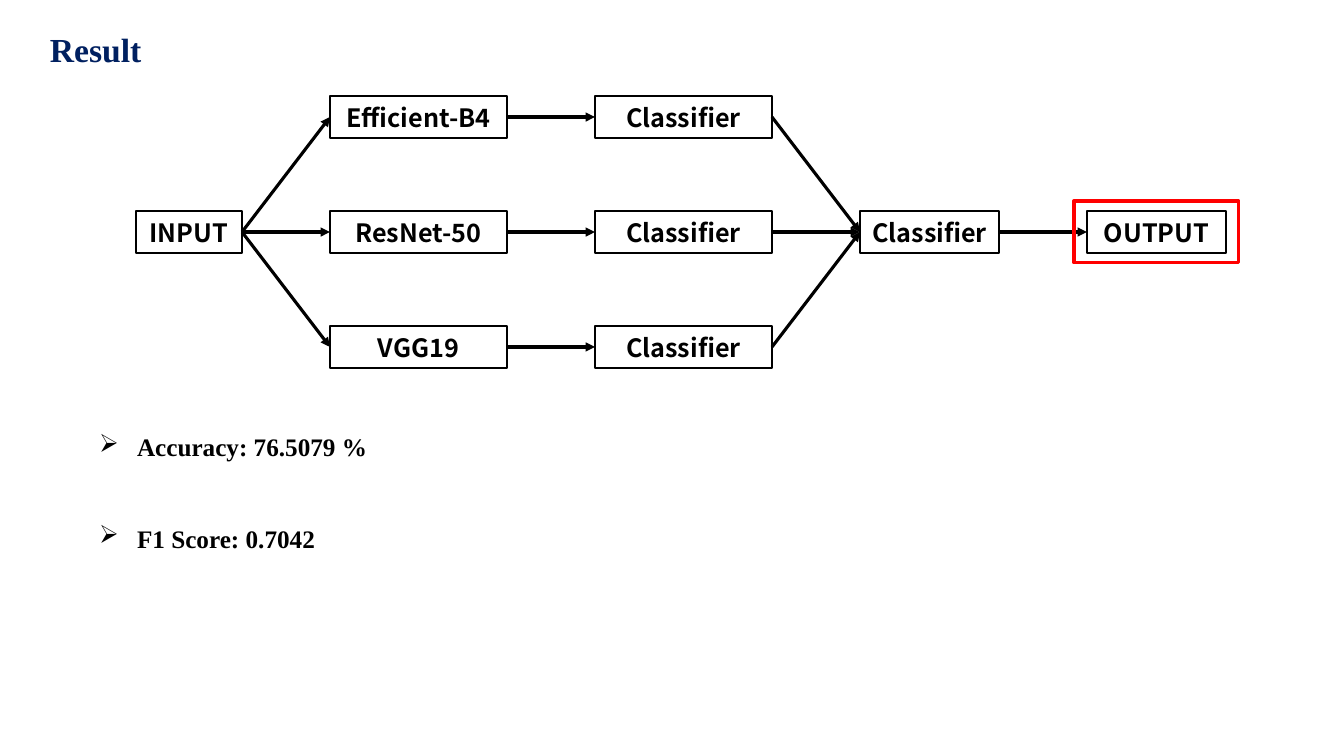
from dataclasses import dataclass
from itertools import pairwise, product

from lxml import etree
from pptx import Presentation
from pptx.dml.color import RGBColor
from pptx.enum.shapes import MSO_CONNECTOR, MSO_SHAPE
from pptx.enum.text import MSO_ANCHOR, PP_ALIGN
from pptx.oxml.ns import qn
from pptx.util import Pt

RECT = MSO_SHAPE.RECTANGLE
LINE = MSO_CONNECTOR.STRAIGHT
MIDDLE = MSO_ANCHOR.MIDDLE
TOP = MSO_ANCHOR.TOP
CENTER = PP_ALIGN.CENTER
LEFT = PP_ALIGN.LEFT
SCALE = 914400 / 100.8
LEFT_SITE, RIGHT_SITE = 1, 3


@dataclass(frozen=True)
class Theme:
    """Colours, fonts and sizes of the slide."""
    ink: str = "000000"
    navy: str = "002060"
    red: str = "FF0000"
    serif: str = "Times New Roman"
    sans: str = "Noto Sans CJK KR"
    head: int = 24
    body: int = 18
    thin: float = 1.5
    thick: float = 2.25


THEME = Theme()


def emu(*sizes):
    """Turn pixels into EMU."""
    return [round(size * SCALE) for size in sizes]


def apply(item, values):
    """Set each attribute named in a dict."""
    for name, value in values.items():
        setattr(item, name, value)


def write(par, text, font, size, color):
    """Add one bold run to a paragraph."""
    run = par.add_run()
    run.text = text
    apply(run.font, {"name": font, "size": Pt(size), "bold": True})
    run.font.color.rgb = RGBColor.from_string(color)


def area(slide, box, **frame):
    """Add a wrapping text box and return its frame."""
    text = slide.shapes.add_textbox(*emu(*box)).text_frame
    apply(text, {"word_wrap": True, **frame})
    return text


def outline(slide, box, color, width):
    """Add an unfilled rectangle."""
    shape = slide.shapes.add_shape(RECT, *emu(*box))
    shape.shadow.inherit = False
    shape.fill.background()
    shape.line.color.rgb = RGBColor.from_string(color)
    shape.line.width = Pt(width)
    return shape


def node(slide, box, text):
    """Add a labelled step of the model."""
    shape = outline(slide, box, THEME.ink, THEME.thin)
    frame = shape.text_frame
    apply(frame, {"vertical_anchor": MIDDLE, "word_wrap": False})
    par = frame.paragraphs[0]
    par.alignment = CENTER
    write(par, text, THEME.sans, THEME.body, THEME.ink)
    return shape


def arrow(slide, start, end):
    """Join two steps with an arrow."""
    link = slide.shapes.add_connector(LINE, 0, 0, 0, 0)
    link.begin_connect(start, RIGHT_SITE)
    link.end_connect(end, LEFT_SITE)
    link.line.color.rgb = RGBColor.from_string(THEME.ink)
    link.line.width = Pt(THEME.thick)
    etree.SubElement(link.line._get_or_add_ln(), qn("a:tailEnd"), type="triangle")
    etree.SubElement(link._element.spPr, qn("a:effectLst"))


def title(slide, box, text):
    """Write the slide heading."""
    par = area(slide, box, vertical_anchor=MIDDLE).paragraphs[0]
    apply(par, {"alignment": LEFT, "line_spacing": 0.9})
    write(par, text, THEME.serif, THEME.head, THEME.navy)


def flow(slide, box, stages):
    """Draw the stages from left to right and frame the last."""
    left, top, width, height = box
    tall = 42
    pitch = (height - tall) // 2
    gap = (width - sum(wide for wide, _ in stages)) // (len(stages) - 1)
    columns = []
    for wide, labels in stages:
        first = (3 - len(labels)) // 2
        columns.append([
            node(slide, (left, top + row * pitch, wide, tall), text)
            for row, text in enumerate(labels, first)
        ])
        left += wide + gap
    for before, after in pairwise(columns):
        pairs = zip(before, after) if len(before) == len(after) else product(before, after)
        for start, end in pairs:
            arrow(slide, start, end)
    wide = stages[-1][0]
    mark = (left - wide - gap - 13, top + pitch - 10, wide + 26, tall + 20)
    outline(slide, mark, THEME.red, THEME.thick)


def scores(slide, box, lines):
    """List the scores with arrow bullets."""
    frame = area(slide, box, vertical_anchor=TOP, margin_left=0, margin_top=0)
    indent, = emu(38)
    for index, text in enumerate(lines):
        par = frame.add_paragraph() if index else frame.paragraphs[0]
        apply(par, {"alignment": LEFT, "space_before": Pt(44 if index else 0)})
        props = par._p.get_or_add_pPr()
        props.set("marL", str(indent))
        props.set("indent", str(-indent))
        etree.SubElement(props, qn("a:buChar"), char="➢")
        write(par, text, THEME.serif, THEME.body, THEME.ink)


def main():
    """Build and save the slide."""
    deck = Presentation()
    deck.slide_width, deck.slide_height = emu(1344, 756)
    slide = deck.slides.add_slide(deck.slide_layouts[6])
    title(slide, (40, 27, 1263, 50), "Result")
    flow(slide, (136, 96, 1090, 272), [
        (106, ["INPUT"]),
        (177, ["Efficient-B4", "ResNet-50", "VGG19"]),
        (177, ["Classifier"] * 3),
        (139, ["Classifier"]),
        (139, ["OUTPUT"]),
    ])
    scores(slide, (99, 431, 1164, 130), ["Accuracy: 76.5079 %", "F1 Score: 0.7042"])
    deck.save("out.pptx")


main()
